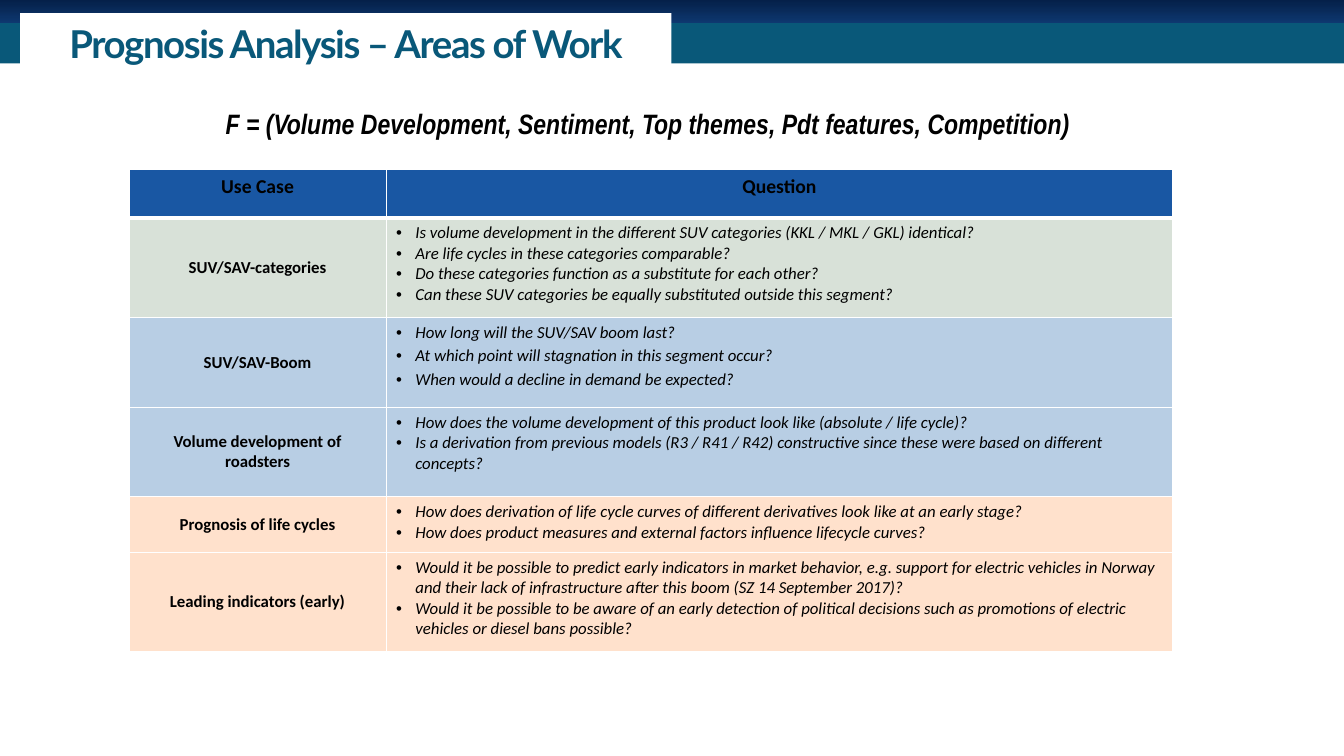
from lxml import etree
from pptx import Presentation
from pptx import util as u
from pptx.dml import color
from pptx.enum import shapes, text
from pptx.oxml import ns

COLORS = {
    "navy": "052049", "blue": "1957A3", "teal": "095879", "white": "FFFFFF",
    "black": "000000", "sage": "D8E1D8", "sky": "B8CEE4", "peach": "FFE1CC",
}

USE_CASES = [
    ("SUV/SAV-categories", "sage", 0.99, 0, [
        "Is volume development in the different SUV categories (KKL / MKL / GKL) identical?",
        "Are life cycles in these categories comparable?",
        "Do these categories function as a substitute for each other?",
        "Can these SUV categories be equally substituted outside this segment?"]),
    ("SUV/SAV-Boom", "sky", 0.89, 2, [
        "How long will the SUV/SAV boom last?",
        "At which point will stagnation in this segment occur?",
        "When would a decline in demand be expected?"]),
    ("Volume development of roadsters", "sky", 0.89, 0, [
        "How does the volume development of this product look like (absolute / life cycle)?",
        "Is a derivation from previous models (R3 / R41 / R42) constructive since these "
        "were based on different concepts?"]),
    ("Prognosis of life cycles", "peach", 0.55, 0, [
        "How does derivation of life cycle curves of different derivatives look like at an early stage?",
        "How does product measures and external factors influence lifecycle curves?"]),
    ("Leading indicators (early)", "peach", 0.99, 0, [
        "Would it be possible to predict early indicators in market behavior, e.g. support for "
        "electric vehicles in Norway and their lack of infrastructure after this boom "
        "(SZ 14 September 2017)?",
        "Would it be possible to be aware of an early detection of political decisions such as "
        "promotions of electric vehicles or diesel bans possible?"]),
]


def rgb(name):
    return color.RGBColor.from_string(COLORS[name])


def place(shape, left, top, width, height):
    shape.left, shape.top = u.Inches(left), u.Inches(top)
    shape.width, shape.height = u.Inches(width), u.Inches(height)


class SlideBuilder:
    def __init__(self, slide):
        self.slide = slide

    def style(self, paragraph, size, font="Calibri", ink="black", bold=False, italic=False):
        for run in paragraph.runs:
            run.font.size, run.font.name = u.Pt(size), font
            run.font.bold, run.font.italic = bold, italic
            run.font.color.rgb = rgb(ink)

    def band(self, top, height, fill, fade_to=None):
        band = self.slide.shapes.add_shape(
            shapes.MSO_SHAPE.RECTANGLE, 0, u.Inches(top), u.Inches(13.33), u.Inches(height))
        band.shadow.inherit = False
        band.line.fill.background()
        if fade_to:
            band.fill.gradient()
            band.fill.gradient_angle = 270
            for stop, name, position in zip(band.fill.gradient_stops, (fill, fade_to), (0, 0.9)):
                stop.color.rgb, stop.position = rgb(name), position
        else:
            band.fill.solid()
            band.fill.fore_color.rgb = rgb(fill)

    def title(self, wording):
        title = self.slide.shapes.title
        place(title, 0.2, 0.13, 6.46, 0.6)
        title.fill.solid()
        title.fill.fore_color.rgb = rgb("white")
        frame = title.text_frame
        frame.text = wording
        frame.auto_size = text.MSO_AUTO_SIZE.NONE
        frame.vertical_anchor = text.MSO_ANCHOR.MIDDLE
        frame.margin_left = frame.margin_right = u.Inches(0.13)
        frame.margin_top = frame.margin_bottom = u.Inches(0.07)
        heading = frame.paragraphs[0]
        heading.alignment = text.PP_ALIGN.CENTER
        self.style(heading, 27.4, "Lato", "teal", bold=True)
        heading.runs[0].font._element.set("spc", "-100")
        # Bring the title in front of the bands
        self.slide.shapes._spTree.append(title._element)

    def formula(self, wording):
        formula = self.slide.shapes.add_textbox(
            u.Inches(2.14), u.Inches(1.01), u.Inches(10.2), u.Inches(0.91))
        formula.text_frame.word_wrap = True
        formula.text_frame.text = wording
        self.style(formula.text_frame.paragraphs[0], 20, "Arial Narrow", bold=True, italic=True)

    def cell(self, cell, fill, top_border=1, bottom_border=1):
        properties = cell._tc.get_or_add_tcPr()
        for side, width in zip("LRTB", (1, 1, top_border, bottom_border)):
            border = etree.SubElement(properties, ns.qn(f"a:ln{side}"), w=str(u.Pt(width)))
            solid = etree.SubElement(border, ns.qn("a:solidFill"))
            etree.SubElement(solid, ns.qn("a:srgbClr"), val=COLORS["white"])
        cell.fill.solid()
        cell.fill.fore_color.rgb = rgb(fill)

    def label(self, cell, wording, size):
        cell.text = wording
        label = cell.text_frame.paragraphs[0]
        label.alignment = text.PP_ALIGN.CENTER
        self.style(label, size, bold=True)

    def bullets(self, cell, questions, space_after):
        cell.text = "\n".join(questions)
        for question in cell.text_frame.paragraphs:
            properties = question._p.get_or_add_pPr()
            properties.set("marL", str(u.Inches(0.19)))
            properties.set("indent", str(-u.Inches(0.19)))
            etree.SubElement(properties, ns.qn("a:buFont"), typeface="Arial")
            etree.SubElement(properties, ns.qn("a:buChar"), char="•")
            question.space_after = u.Pt(space_after)
            self.style(question, 12, italic=True)

    def use_case_table(self, headings, use_cases):
        heights = [0.48] + [use_case[2] for use_case in use_cases]
        table = self.slide.shapes.add_table(
            len(heights), 2, u.Inches(1.28), u.Inches(1.68),
            u.Inches(10.35), u.Inches(sum(heights))).table
        table.horz_banding = False
        for column, width in zip(table.columns, (2.55, 7.8)):
            column.width = u.Inches(width)
        for row, height in zip(table.rows, heights):
            row.height = u.Inches(height)
        # Header row
        for column, heading in enumerate(headings):
            header = table.cell(0, column)
            self.cell(header, "blue", bottom_border=3)
            self.label(header, heading, 14)
        # One row per use case
        for row, (name, fill, _, space_after, questions) in enumerate(use_cases, 1):
            name_cell, question_cell = table.cell(row, 0), table.cell(row, 1)
            for cell in (name_cell, question_cell):
                self.cell(cell, fill, top_border=3 if row == 1 else 1)
            name_cell.vertical_anchor = text.MSO_ANCHOR.MIDDLE
            self.label(name_cell, name, 12)
            self.bullets(question_cell, questions, space_after)


def main():
    deck = Presentation()
    deck.slide_width, deck.slide_height = u.Inches(13.33), u.Inches(7.5)
    builder = SlideBuilder(deck.slides.add_slide(deck.slide_layouts[5]))
    # Header bands and title
    builder.band(0, 0.58, "navy", fade_to="blue")
    builder.band(0.23, 0.4, "teal")
    builder.title("Prognosis Analysis – Areas of Work")
    # Use cases and the formula above them
    builder.use_case_table(("Use Case", "Question"), USE_CASES)
    builder.formula("F = (Volume Development, Sentiment, Top themes, Pdt features, Competition)")
    deck.save("out.pptx")


if __name__ == "__main__":
    main()
